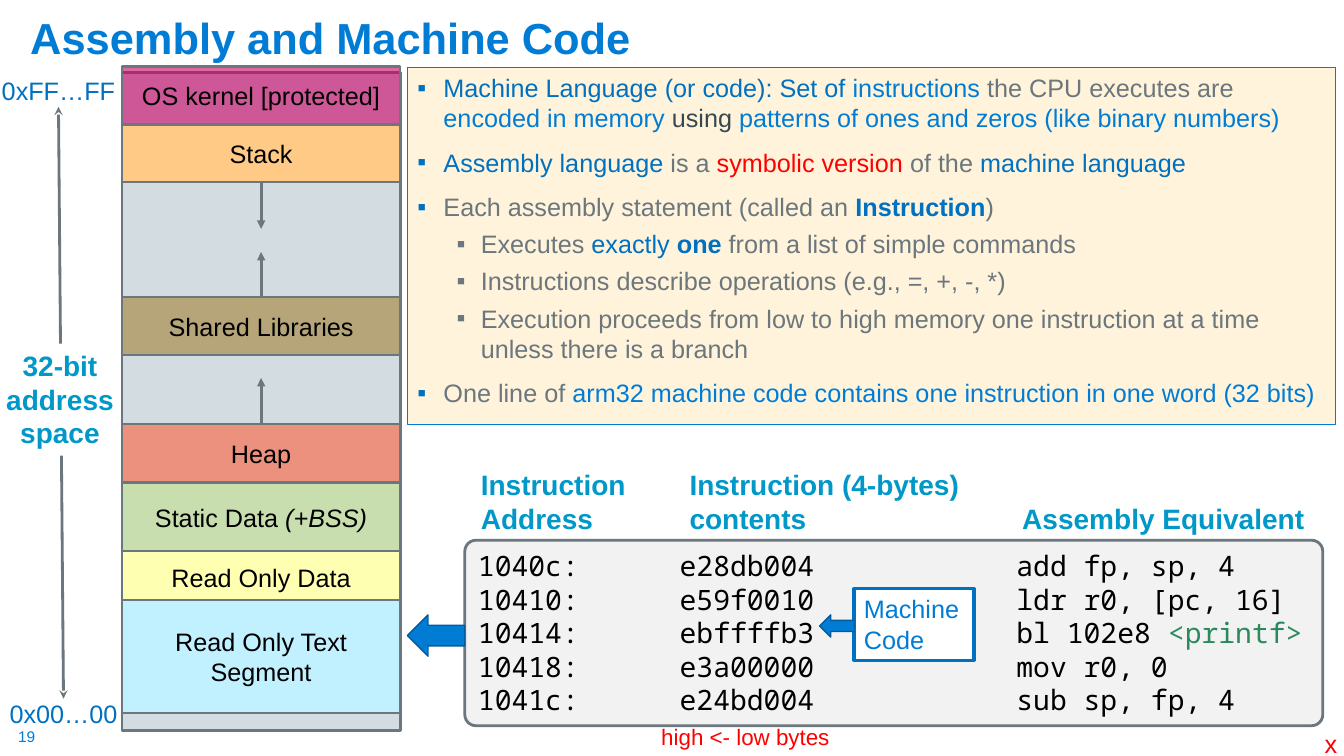
from lxml.etree import SubElement
from pptx import Presentation
from pptx.dml.color import RGBColor
from pptx.enum.shapes import MSO_CONNECTOR, MSO_SHAPE
from pptx.enum.text import MSO_ANCHOR, MSO_AUTO_SIZE, PP_ALIGN
from pptx.oxml.ns import qn
from pptx.util import Pt

PX = 9144  # 100 px to the inch

BLUE = RGBColor(0x00, 0x7C, 0xD5)
DEEP_BLUE = RGBColor(0x00, 0x70, 0xC0)
DARK_BLUE = RGBColor(0x00, 0x5C, 0x9E)
TEAL = RGBColor(0x00, 0x98, 0xC9)
GRAY = RGBColor(0x6B, 0x76, 0x7D)
SLATE = RGBColor(0x38, 0x48, 0x51)
RED = RGBColor(0xFF, 0x00, 0x00)
GREEN = RGBColor(0x2C, 0x89, 0x5B)
BLACK = RGBColor(0x00, 0x00, 0x00)
WHITE = RGBColor(0xFF, 0xFF, 0xFF)
CREAM = RGBColor(0xFF, 0xF4, 0xDB)
PALE_GRAY = RGBColor(0xF2, 0xF2, 0xF2)
MEMORY_GRAY = RGBColor(0xD3, 0xDC, 0xE1)
MAGENTA = RGBColor(0xCC, 0x00, 0x66)
ORANGE = RGBColor(0xFF, 0xCA, 0x86)
TAN = RGBColor(0xB7, 0xA5, 0x7A)
CORAL = RGBColor(0xED, 0x91, 0x7F)
LEAF = RGBColor(0xC9, 0xDE, 0xAE)
YELLOW = RGBColor(0xFF, 0xFF, 0xB2)
SKY = RGBColor(0xC1, 0xF0, 0xFF)

presentation = Presentation()
presentation.slide_width = 1333 * PX
presentation.slide_height = 750 * PX
slide = presentation.slides.add_slide(presentation.slide_layouts[5])


def add_box(left, top, width, height, fill=None, line=None, weight=1.5,
            preset=MSO_SHAPE.RECTANGLE):
    """Add a preset shape, or a plain text box when no fill is given."""
    place = [length * PX for length in (left, top, width, height)]
    if fill is None:
        return slide.shapes.add_textbox(*place)
    shape = slide.shapes.add_shape(preset, *place)
    shape.shadow.inherit = False
    shape.fill.solid()
    shape.fill.fore_color.rgb = fill
    if line is None:
        shape.line.fill.background()
    else:
        shape.line.color.rgb = line
        shape.line.width = Pt(weight)
    return shape


def write(shape, paragraphs, size, color, bold=False, align=PP_ALIGN.LEFT,
          anchor=MSO_ANCHOR.TOP, insets=(10, 5), tabs=(), font="Arial"):
    """Fill a shape with paragraphs, each a list of (text, run formats)."""
    frame = shape.text_frame
    frame.word_wrap = True
    frame.auto_size = MSO_AUTO_SIZE.NONE
    frame.vertical_anchor = anchor
    frame.margin_left = frame.margin_right = insets[0] * PX
    frame.margin_top = frame.margin_bottom = insets[1] * PX
    for index, runs in enumerate(paragraphs):
        paragraph = frame.add_paragraph() if index else frame.paragraphs[0]
        paragraph.alignment = align
        if tabs:
            tab_list = SubElement(paragraph._p.get_or_add_pPr(), qn("a:tabLst"))
            for position in tabs:
                SubElement(tab_list, qn("a:tab"), pos=str(position * PX), algn="l")
        for text, formats in runs:
            run = paragraph.add_run()
            run.text = text
            run.font.name = font
            run.font.size = Pt(size)
            run.font.color.rgb = formats.get("color", color)
            run.font.bold = formats.get("bold", bold)
            run.font.italic = formats.get("italic", False)


# Title and page number
title = slide.shapes.title
title.left, title.top, title.width, title.height = (
    length * PX for length in (20, 8, 626, 60))
write(title, [[("Assembly and Machine Code", {})]], 31, BLUE, bold=True,
      anchor=MSO_ANCHOR.BOTTOM)
title.text_frame.paragraphs[0].line_spacing = 0.9
write(add_box(18, 721, 30, 19), [[("19", {})]], 11, BLUE, insets=(0, 0))

# Explanation: level and runs of each bullet
deep, blue, red = {"color": DEEP_BLUE}, {"color": BLUE}, {"color": RED}
deep_bold = {"color": DEEP_BLUE, "bold": True}
bullets = [
    (0, [("Machine Language (or code): Set of ", deep), ("instructions", blue),
         (" the CPU executes are ", {}), ("encoded in memory ", blue),
         ("using", {"color": SLATE}),
         (" patterns of ones and zeros (like binary numbers)", blue)]),
    (0, [("Assembly language ", deep), ("is a ", {}), ("symbolic version ", red),
         ("of the ", {}), ("machine language", deep)]),
    (0, [("Each assembly statement (called an ", {}), ("Instruction", deep_bold),
         (")", {})]),
    (1, [("Executes ", {}), ("exactly ", deep), ("one ", deep_bold),
         ("from a list of simple commands", {})]),
    (1, [("Instructions describe operations (e.g., =, +, -, *)", {})]),
    (1, [("Execution proceeds from low to high memory one instruction at a time "
          "unless there is a branch", {})]),
    (0, [("One line of ", {}),
         ("arm32 machine code contains one instruction in one word (32 bits)", blue)]),
]
explanation = add_box(404, 67, 921, 354, CREAM, BLUE, 0.75)
write(explanation, [runs for level, runs in bullets], 18, GRAY)
for index, (level, runs) in enumerate(bullets):
    paragraph = explanation.text_frame.paragraphs[index]
    margin, hanging, space, bullet_color = (
        (63, 24, 5, GRAY) if level else (26, 26, 10, DEEP_BLUE))
    paragraph.level = level
    properties = paragraph._p.get_or_add_pPr()
    properties.set("marL", str(margin * PX))
    properties.set("indent", str(-hanging * PX))
    SubElement(SubElement(properties, qn("a:buClr")), qn("a:srgbClr"),
               val=str(bullet_color))
    SubElement(properties, qn("a:buFont"), typeface="Arial")
    SubElement(properties, qn("a:buChar"), char="▪")
    if index:
        paragraph.space_before = Pt(space)

# Memory map
add_box(121, 72, 276, 653, MEMORY_GRAY, GRAY, 2)
segments = [
    (66, 57, MAGENTA, [("OS kernel [protected]", {})]),
    (124, 57, ORANGE, [("Stack", {})]),
    (421, 57, CORAL, [("Heap", {})]),
    (479, 69, LEAF, [("Static Data", {}), (" (+BSS)", {"italic": True})]),
    (295, 57, TAN, [("Shared Libraries", {})]),
    (547, 52, YELLOW, [("Read Only Data", {})]),
    (595, 112, SKY, [("Read Only Text Segment", {})]),
]
for top, height, fill, runs in segments:
    segment = add_box(121, top, 276, height, fill, GRAY)
    write(segment, [runs], 18, BLACK, align=PP_ALIGN.CENTER, anchor=MSO_ANCHOR.MIDDLE)
    if fill == MAGENTA:
        kernel_color = segment.fill._xPr.find(qn("a:solidFill"))[0]
        SubElement(kernel_color, qn("a:alpha"), val="60000")

# Address axis, then the growth arrows of the memory map
arrows = [
    (58, 106, 63, 693, "stealth", ("headEnd", "tailEnd")),
    (259, 181, 259, 227, "triangle", ("tailEnd",)),
    (259, 295, 259, 250, "triangle", ("tailEnd",)),
    (259, 421, 259, 375, "triangle", ("tailEnd",)),
]
for start_x, start_y, end_x, end_y, style, ends in arrows:
    arrow = slide.shapes.add_connector(
        MSO_CONNECTOR.STRAIGHT, start_x * PX, start_y * PX, end_x * PX, end_y * PX)
    arrow.line.color.rgb = GRAY
    arrow.line.width = Pt(2)
    for end in ends:
        SubElement(arrow.line._get_or_add_ln(), qn("a:" + end), type=style)
    SubElement(arrow._element.spPr, qn("a:effectLst"))

for left, top, width, address in [(0, 75, 116, "0xFF…FF"), (0, 693, 126, "0x00…00")]:
    write(add_box(left, top, width, 30), [[(address, {})]], 18, DEEP_BLUE,
          align=PP_ALIGN.CENTER, insets=(0, 0))
write(add_box(0, 341, 119, 111, WHITE), [[("32-bit address space", {})]], 20, TEAL,
      bold=True, align=PP_ALIGN.CENTER, insets=(5, 5))

# Machine code listing
listing = [
    ("1040c:", "e28db004", "add fp, sp, 4", ""),
    ("10410:", "e59f0010", "ldr r0, [pc, 16]", ""),
    ("10414:", "ebffffb3", "bl 102e8 ", "<printf>"),
    ("10418:", "e3a00000", "mov r0, 0", ""),
    ("1041c:", "e24bd004", "sub sp, fp, 4", ""),
]
code_lines = []
for address, contents, assembly, symbol in listing:
    runs = [(f"{address}\t{contents}\t{assembly}", {})]
    if symbol:
        runs.append((symbol, {"color": GREEN}))
    code_lines.append(runs)
code_box = add_box(461, 536, 851, 184, PALE_GRAY, GRAY, 2, MSO_SHAPE.ROUNDED_RECTANGLE)
code_box.adjustments[0] = 0.06
write(code_box, code_lines, 20, BLACK, tabs=(200, 534), font="Noto Sans Mono")

write(add_box(467, 459, 845, 77),
      [[("Instruction\tInstruction (4-bytes)", {})],
       [("Address\tcontents\tAssembly Equivalent", {})]],
      20, TEAL, bold=True, tabs=(207, 537))
write(add_box(847, 584, 119, 71, WHITE, DEEP_BLUE, 2.25), [[("Machine Code", {})]],
      18, BLUE)
write(add_box(646, 712, 189, 37), [[("high <- low bytes", {})]], 16, RED)
write(add_box(1304, 718, 33, 40), [[("x", {})]], 18, RED)

for left, width, height in [(813, 34, 22), (404, 57, 41)]:
    add_box(left, 610, width, height, BLUE, DARK_BLUE, 1, MSO_SHAPE.LEFT_ARROW)

presentation.save("out.pptx")
